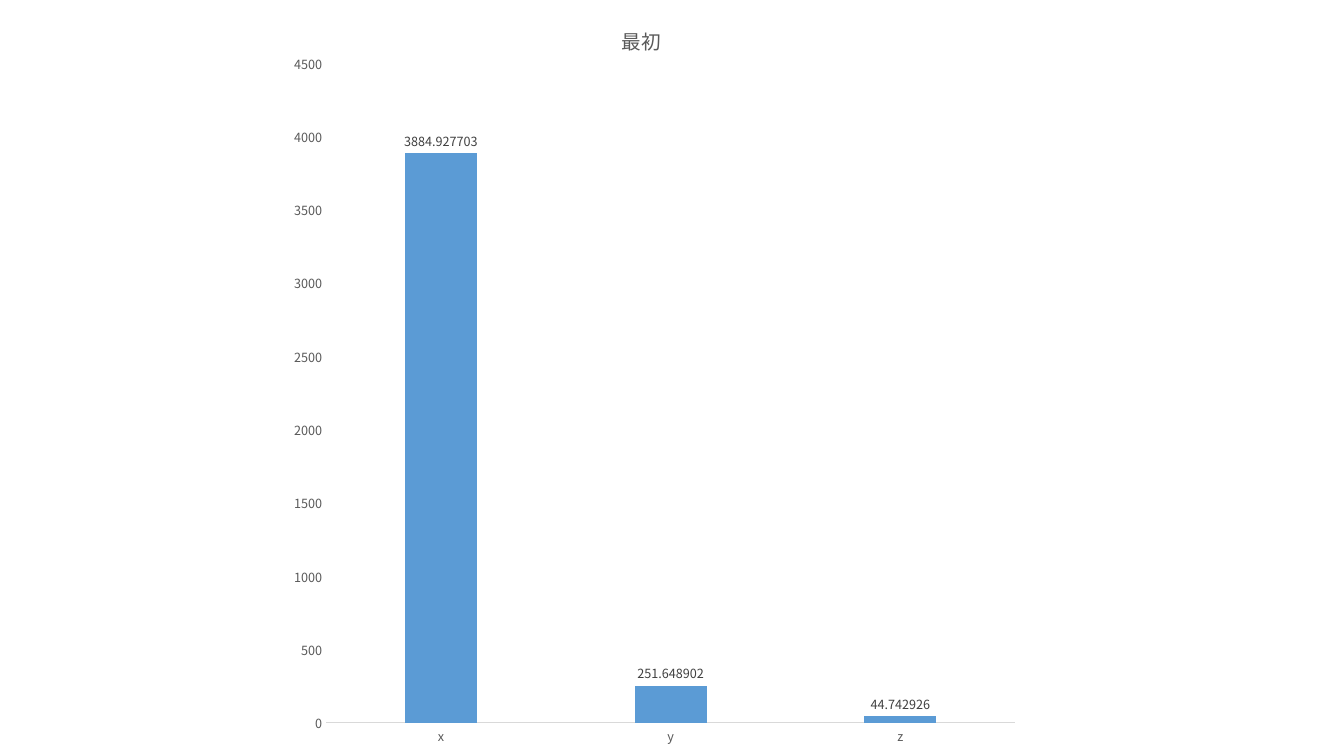
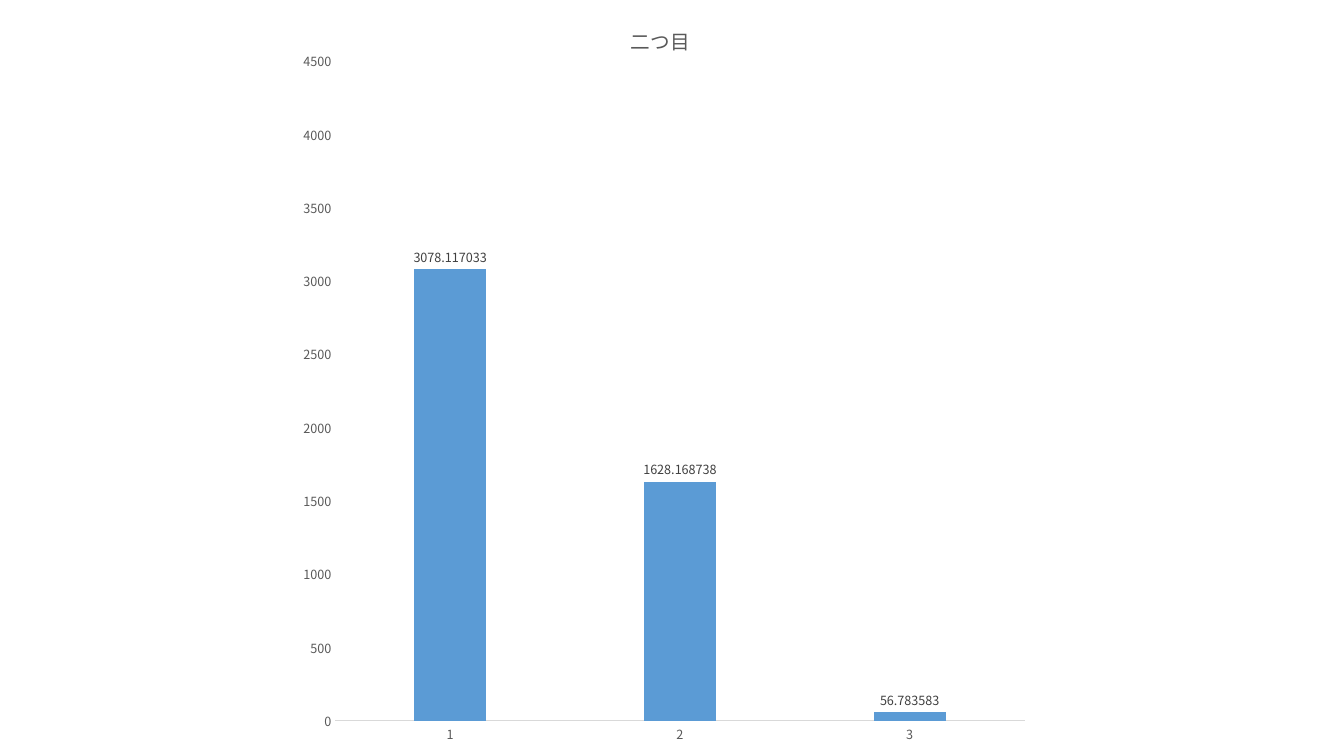
from lxml import etree
from pptx import Presentation
from pptx.chart.data import CategoryChartData
from pptx.dml.color import RGBColor
from pptx.enum.chart import XL_CHART_TYPE, XL_LABEL_POSITION, XL_TICK_MARK
from pptx.oxml.ns import qn
from pptx.util import Inches, Pt

COLUMNS = XL_CHART_TYPE.COLUMN_CLUSTERED
OUTSIDE_END = XL_LABEL_POSITION.OUTSIDE_END
NO_TICK = XL_TICK_MARK.NONE

BLACK = RGBColor(0x00, 0x00, 0x00)
BAR_BLUE = RGBColor(0x5B, 0x9B, 0xD5)
TEXT_GRAY = RGBColor(0x59, 0x59, 0x59)
LABEL_GRAY = RGBColor(0x40, 0x40, 0x40)
AXIS_GRAY = RGBColor(0xD9, 0xD9, 0xD9)
FONT = "Noto Sans CJK JP"

SLIDE_W, SLIDE_H = Inches(13.33), Inches(7.5)
CHART_SIDE = Inches(7.48)
PLOT_W, PLOT_H = 0.914, 0.875
BLANK_LAYOUT = 6


def style_font(font, size, color):
    """Apply the shared typeface with a size and colour."""
    font.name = FONT
    font.size = Pt(size)
    font.bold = False
    font.color.rgb = color


def add_east_asian_font(chart):
    """Use the shared typeface for Japanese characters too."""
    for latin in list(chart.element.iter(qn("a:latin"))):
        east_asian = etree.Element(qn("a:ea"))
        east_asian.set("typeface", FONT)
        latin.addnext(east_asian)


def place_plot(chart, left, top):
    """Fix the inner plot area, in shares of the chart's size."""
    plot_area = chart.element.find(".//" + qn("c:plotArea"))
    for automatic in plot_area.findall(qn("c:layout")):
        plot_area.remove(automatic)
    layout = etree.Element(qn("c:layout"))
    manual = etree.SubElement(layout, qn("c:manualLayout"))
    settings = {"layoutTarget": "inner", "xMode": "edge", "yMode": "edge",
                "x": left, "y": top, "w": PLOT_W, "h": PLOT_H}
    for tag, value in settings.items():
        etree.SubElement(manual, qn("c:" + tag)).set("val", str(value))
    plot_area.insert(0, layout)


def style_axes(chart):
    """Show bare axes with only a thin category line."""
    for axis in (chart.category_axis, chart.value_axis):
        axis.major_tick_mark = axis.minor_tick_mark = NO_TICK
        axis.has_major_gridlines = False
        style_font(axis.tick_labels.font, 9, TEXT_GRAY)
    baseline = chart.category_axis.format.line
    baseline.color.rgb = AXIS_GRAY
    baseline.width = Pt(0.75)
    values = chart.value_axis
    values.format.line.fill.background()
    values.minimum_scale, values.maximum_scale = 0, 4500
    values.major_unit = 500


def style_columns(plot):
    """Colour the columns and print each value above its column."""
    plot.gap_width, plot.overlap = 219, -27
    plot.vary_by_categories = False
    fill = plot.series[0].format.fill
    fill.solid()
    fill.fore_color.rgb = BAR_BLUE
    labels = plot.series[0].data_labels
    labels.show_value = True
    labels.position = OUTSIDE_END
    style_font(labels.font, 9, LABEL_GRAY)


def add_column_slide(deck, title, categories, values, chart_left, plot_left, plot_top):
    """Add a slide filled from top to bottom by one square column chart."""
    slide = deck.slides.add_slide(deck.slide_layouts[BLANK_LAYOUT])
    data = CategoryChartData()
    data.categories = categories
    data.add_series("Series 1", values)
    chart = slide.shapes.add_chart(
        COLUMNS, chart_left, 0, CHART_SIDE, CHART_SIDE, data).chart
    style_font(chart.font, 10, BLACK)
    chart.has_legend = False
    chart.has_title = True
    heading = chart.chart_title.text_frame
    heading.text = title
    style_font(heading.paragraphs[0].font, 14, TEXT_GRAY)
    style_axes(chart)
    style_columns(chart.plots[0])
    place_plot(chart, plot_left, plot_top)
    add_east_asian_font(chart)


def main():
    """Build and save the two chart slides."""
    deck = Presentation()
    deck.slide_width, deck.slide_height = SLIDE_W, SLIDE_H
    add_column_slide(deck, "最初", ["x", "y", "z"],
                     [3884.927703, 251.648902, 44.742926],
                     Inches(2.62), 0.082, 0.084)
    add_column_slide(deck, "二つ目", ["1", "2", "3"],
                     [3078.117033, 1628.168738, 56.783583],
                     Inches(2.81), 0.069, 0.081)
    deck.save("out.pptx")


main()
